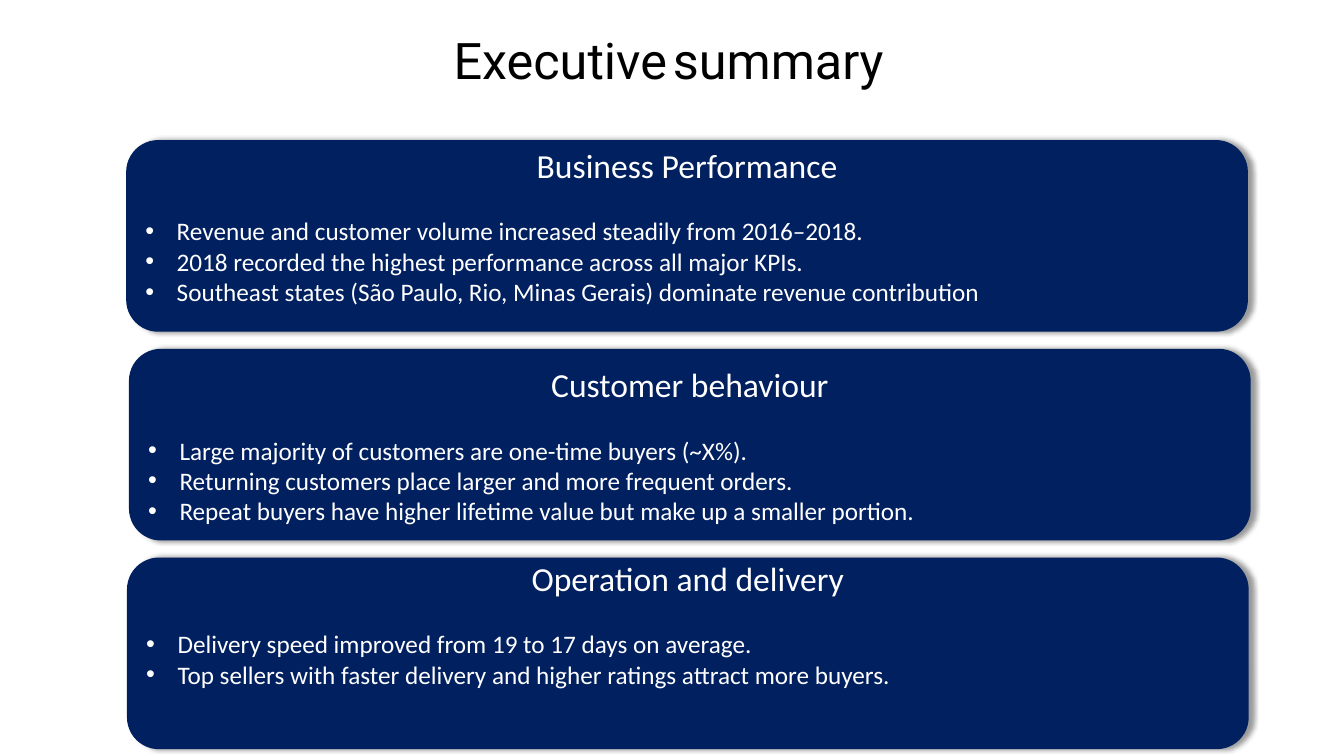
"""Build the executive summary slide with three themed cards."""
from lxml.etree import SubElement
from pptx import Presentation
from pptx.dml.color import RGBColor
from pptx.enum.shapes import MSO_SHAPE as Shape
from pptx.enum.text import MSO_ANCHOR as Anchor, MSO_AUTO_SIZE as AutoSize, PP_ALIGN as Align
from pptx.oxml.ns import qn
from pptx.util import Cm, Pt

COLOURS = {"navy": "002060", "white": "FFFFFF", "black": "000000"}
CARD_WIDTH, CARD_HEIGHT = 28.27, 4.83
FIRST_TOP, CARD_STEP = 3.53, 5.26
CARDS = [
    (3.18, 0.52, "Business Performance", [
        "Revenue and customer volume increased steadily from 2016–2018.",
        "2018 recorded the highest performance across all major KPIs.",
        "Southeast states (São Paulo, Rio, Minas Gerais) dominate revenue contribution",
    ]),
    (3.25, 0, "Customer behaviour", [
        "Large majority of customers are one-time buyers (~X%).",
        "Returning customers place larger and more frequent orders.",
        "Repeat buyers have higher lifetime value but make up a smaller portion.",
    ]),
    (3.2, 1.51, "Operation and delivery", [
        "Delivery speed improved from 19 to 17 days on average.",
        "Top sellers with faster delivery and higher ratings attract more buyers.",
    ]),
]


class SummarySlide:
    def __init__(self, deck):
        self.page = deck.slides.add_slide(deck.slide_layouts[6])
        self.body_font, self.title_font = "Calibri", "Roboto"
        self.heading_size, self.body_size, self.title_size = 24, 18, 36

    def style(self, span, size, font, colour):
        span.font.size = Pt(size)
        span.font.name = font
        span.font.color.rgb = RGBColor.from_string(COLOURS[colour])

    def title(self, words):
        box = self.page.shapes.add_textbox(Cm(11.18), Cm(0.61), Cm(11.51), Cm(1.8))
        frame = box.text_frame
        frame.word_wrap = False
        frame.auto_size = AutoSize.SHAPE_TO_FIT_TEXT
        para = frame.paragraphs[0]
        for text in words:
            span = para.add_run()
            span.text = text
            if text == " ":
                self.style(span, self.body_size, self.body_font, "black")
            else:
                self.style(span, self.title_size, self.title_font, "black")

    def shadow(self, box):
        box.shadow.inherit = False
        effects = box._element.spPr.find(qn("a:effectLst"))
        outer = SubElement(effects, qn("a:outerShdw"), blurRad=str(Pt(4)),
                           dist=str(Pt(3)), dir="0", algn="l", rotWithShape="0")
        colour = SubElement(outer, qn("a:srgbClr"), val=COLOURS["black"])
        SubElement(colour, qn("a:alpha"), val="40000")

    def bullet(self, frame, text):
        para = frame.add_paragraph()
        para.text = text
        para.alignment = Align.LEFT
        self.style(para.runs[0], self.body_size, self.body_font, "white")
        properties = para._p.get_or_add_pPr()
        properties.set("marL", str(Cm(0.79)))
        properties.set("indent", str(-Cm(0.79)))
        SubElement(properties, qn("a:buFont"), typeface="Arial")
        SubElement(properties, qn("a:buChar"), char="•")

    def card(self, left, top, bottom_inset, heading, points):
        box = self.page.shapes.add_shape(Shape.ROUNDED_RECTANGLE, Cm(left), Cm(top),
                                         Cm(CARD_WIDTH), Cm(CARD_HEIGHT))
        box.fill.solid()
        box.fill.fore_color.rgb = RGBColor.from_string(COLOURS["navy"])
        box.line.fill.background()
        self.shadow(box)
        frame = box.text_frame
        frame.word_wrap = True
        frame.vertical_anchor = Anchor.MIDDLE
        frame.margin_top, frame.margin_bottom = Cm(0), Cm(bottom_inset)
        frame.text = heading
        para = frame.paragraphs[0]
        para.alignment = Align.CENTER
        para.space_after = Pt(22)
        self.style(para.runs[0], self.heading_size, self.body_font, "white")
        for point in points:
            self.bullet(frame, point)


def main():
    deck = Presentation()
    deck.slide_width, deck.slide_height = Cm(33.87), Cm(19.05)
    slide = SummarySlide(deck)
    slide.title(["Executive", " ", "summary"])
    for row, (left, bottom_inset, heading, points) in enumerate(CARDS):
        slide.card(left, FIRST_TOP + row * CARD_STEP, bottom_inset, heading, points)
    deck.save("out.pptx")


if __name__ == "__main__":
    main()
